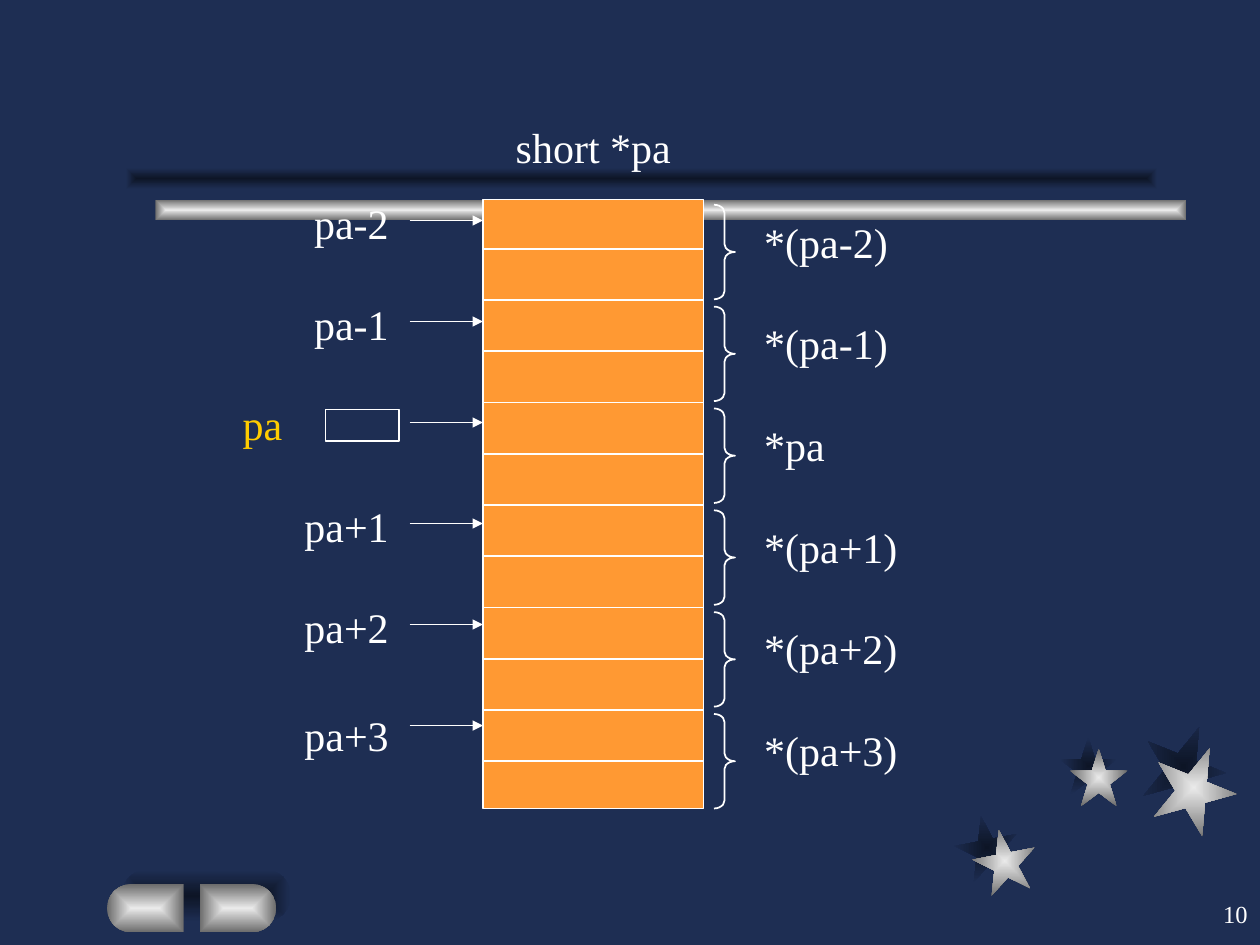
from dataclasses import dataclass
from math import cos, pi, sin

from lxml.etree import SubElement
from pptx import Presentation
from pptx.dml.color import RGBColor
from pptx.enum.shapes import MSO_CONNECTOR as Connector, MSO_SHAPE as Shape
from pptx.enum.text import MSO_ANCHOR as Anchor, PP_ALIGN as Align
from pptx.oxml.ns import qn
from pptx.util import Inches, Pt

COLUMNS, ROWS = 120, 90
WIDTH, HEIGHT = Inches(10), Inches(7.5)


@dataclass(frozen=True)
class Theme:
    background: str = "1E2E53"
    text: str = "FFFFFF"
    accent: str = "FFCC00"
    memory: str = "FF9933"
    metal: tuple = ("EAEAEA", "6B6B6B")
    shade: tuple = ("0D1526", "1E2E53")
    font: str = "Times New Roman"
    label_size: int = 24
    number_size: int = 14
    line_width: int = 1


THEME = Theme()


def color(value):
    return RGBColor.from_string(value)


def grid(*cells):
    """Turn alternating column and row counts into slide lengths."""
    steps = (WIDTH / COLUMNS, HEIGHT / ROWS)
    return [round(cell * steps[index % 2]) for index, cell in enumerate(cells)]


def spread(first, last, count):
    """Equally spaced rows from first to last."""
    return [first + (last - first) * index / (count - 1) for index in range(count)]


def apply(target, values):
    for name, value in values.items():
        setattr(target, name, value)


def outline(line):
    line.fill.solid()
    line.fill.fore_color.rgb = color(THEME.text)
    line.width = Pt(THEME.line_width)


def fill_from_centre(shape, colors):
    """Rectangular gradient running from the centre to the edges."""
    shape.shadow.inherit = False
    shape.line.fill.background()
    shape.fill.gradient()
    for stop, value in zip(shape.fill.gradient_stops, colors):
        stop.color.rgb = color(value)
    gradient = shape.element.spPr.find(qn("a:gradFill"))
    gradient.remove(gradient.find(qn("a:lin")))
    shading = SubElement(gradient, qn("a:path"), {"path": "rect"})
    SubElement(shading, qn("a:fillToRect"), dict.fromkeys("ltrb", "50000"))


def add_glossy(slide, kind, cells, colors, rotation=0):
    shape = slide.shapes.add_shape(kind, *grid(*cells))
    shape.rotation = rotation
    fill_from_centre(shape, colors)
    return shape


def add_half_pill(slide, flat_column, direction, top=84.2, width=7.3, height=4.6):
    """Half a pill: flat at flat_column, rounded towards direction (-1 or 1)."""
    radius, steps = height / 2, 12
    angles = [pi * (step / steps - 0.5) for step in range(steps + 1)]
    points = [
        (flat_column + direction * (width - radius + radius * cos(angle)),
         top + radius + radius * sin(angle))
        for angle in angles
    ]
    points.append((flat_column, top + height))
    builder = slide.shapes.build_freeform(*grid(flat_column, top))
    builder.add_line_segments([grid(*point) for point in points], close=True)
    fill_from_centre(builder.convert_to_shape(), THEME.metal)


def add_outlined(slide, kind, cells, fill=None, adjustments=()):
    shape = slide.shapes.add_shape(kind, *grid(*cells))
    shape.shadow.inherit = False
    for index, value in enumerate(adjustments):
        shape.adjustments[index] = value
    if fill:
        shape.fill.solid()
        shape.fill.fore_color.rgb = color(fill)
    else:
        shape.fill.background()
    outline(shape.line)


def add_line(slide, left, right, row, arrow=False):
    line = slide.shapes.add_connector(
        Connector.STRAIGHT, *grid(left, row, right, row))
    outline(line.line)
    properties = line.element.spPr
    if arrow:
        SubElement(properties.find(qn("a:ln")), qn("a:tailEnd"), {"type": "triangle"})
    SubElement(properties, qn("a:effectLst"))


def add_label(slide, text, cells, align, ink=THEME.text, size=THEME.label_size,
              anchor=Anchor.TOP, space=15):
    frame = slide.shapes.add_textbox(*grid(*cells)).text_frame
    apply(frame, {"word_wrap": True, "vertical_anchor": anchor})
    paragraph = frame.paragraphs[0]
    apply(paragraph, {"text": text, "alignment": align, "space_before": Pt(space)})
    font = paragraph.runs[0].font
    apply(font, {"name": THEME.font, "size": Pt(size)})
    font.color.rgb = color(ink)


def add_decoration(slide):
    stars = [  # size, rotation, shade corner, metal corner
        (6, 349, (91, 77.7), (92.7, 79)),
        (5.5, 0, (100.9, 70.2), (101.9, 71.3)),
        (8, 22, (108.7, 69), (109.7, 71)),
    ]
    for layer, colors in ((2, THEME.shade), (3, THEME.metal)):
        for star in stars:
            size, rotation = star[:2]
            add_glossy(slide, Shape.STAR_5_POINT, (*star[layer], size, size),
                       colors, rotation)
    add_glossy(slide, Shape.RECTANGLE, (14.8, 19, 98.2, 2), THEME.metal)
    add_glossy(slide, Shape.RECTANGLE, (12, 16, 98.2, 2), THEME.shade)
    shadow = add_glossy(slide, Shape.ROUNDED_RECTANGLE, (11.6, 82.8, 16.1, 5),
                        THEME.shade)
    shadow.adjustments[0] = 0.5
    add_half_pill(slide, 17.5, -1)
    add_half_pill(slide, 19, 1)


def add_memory(slide):
    left, right = 46, 67
    add_outlined(slide, Shape.RECTANGLE, (left, 19, right - left, 58), THEME.memory)
    for row in spread(23.7, 72.5, 11):
        add_line(slide, left, right, row)
    for row in spread(19.5, 68, 6):
        add_outlined(slide, Shape.RIGHT_BRACE, (68, row, 2, 9),
                     adjustments=(0.375, 0.5))
    for row in spread(21, 69.1, 6):
        add_line(slide, 39, left, row, arrow=True)


def add_pointer_labels(slide):
    add_label(slide, "short *pa", (47, 11, 19, 6), Align.CENTER)
    add_label(slide, "pa", (19, 37.4, 12, 6), Align.CENTER, THEME.accent)
    add_outlined(slide, Shape.RECTANGLE, (31, 39, 7, 3))
    offsets = ["-2", "-1", "", "+1", "+2", "+3"]
    address_rows = spread(18.2, 56.7, 5) + [67]
    value_rows = spread(20, 68.4, 6)
    for offset, address_row, value_row in zip(offsets, address_rows, value_rows):
        if offset:
            add_label(slide, f"pa{offset}", (24, address_row, 14.2, 6), Align.RIGHT)
        value = f"*(pa{offset})" if offset else "*pa"
        add_label(slide, value, (71.6, value_row, 20, 6), Align.LEFT)


def main():
    presentation = Presentation()
    apply(presentation, {"slide_width": WIDTH, "slide_height": HEIGHT})
    slide = presentation.slides.add_slide(presentation.slide_layouts[6])
    slide.background.fill.solid()
    slide.background.fill.fore_color.rgb = color(THEME.background)
    add_decoration(slide)
    add_memory(slide)
    add_pointer_labels(slide)
    add_label(slide, "10", (95, 84, 25, 6), Align.RIGHT, size=THEME.number_size,
              anchor=Anchor.MIDDLE, space=0)
    presentation.save("out.pptx")


if __name__ == "__main__":
    main()
